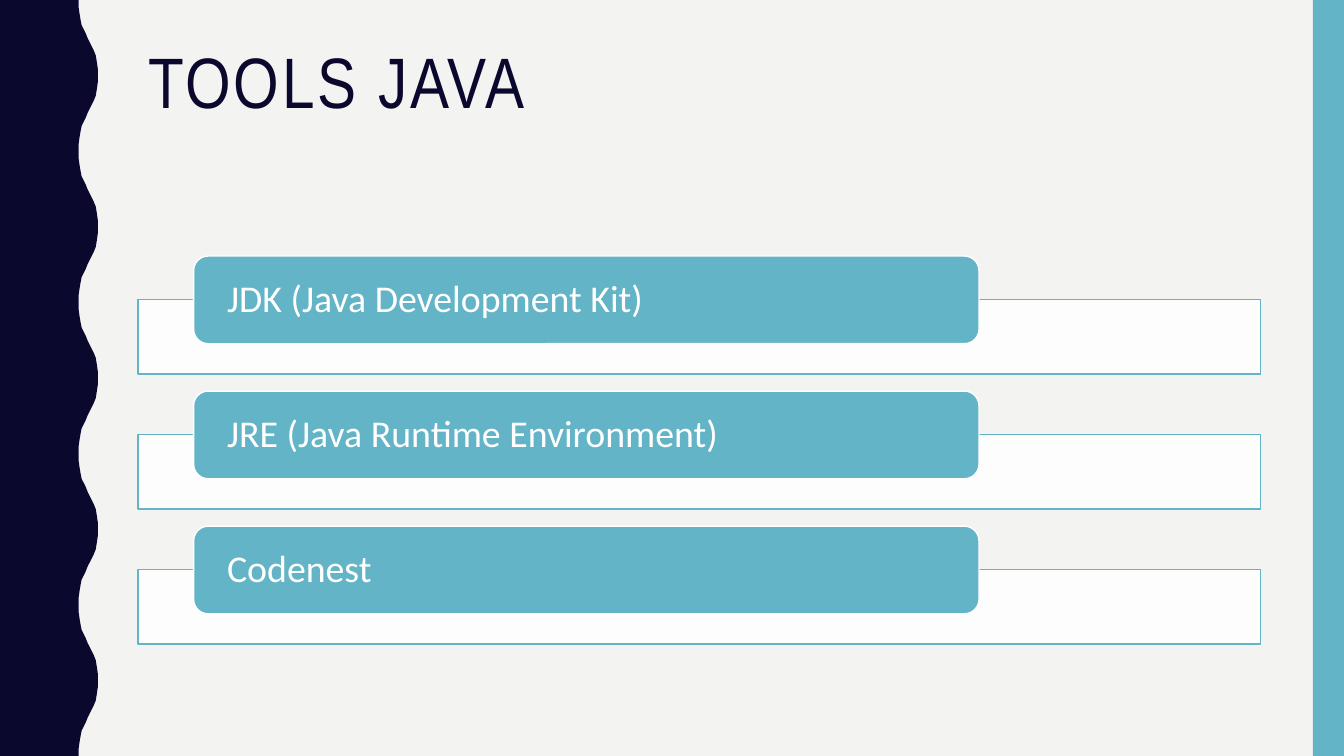
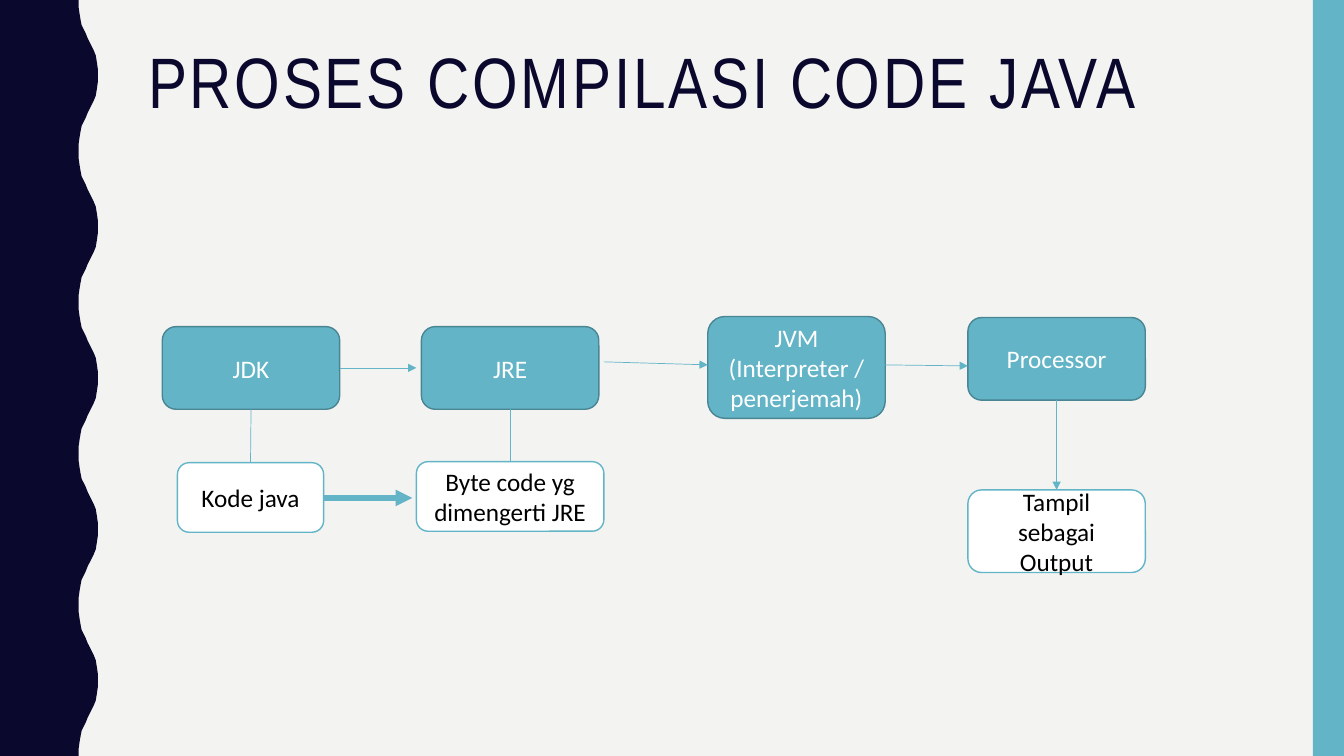
from typing import NamedTuple, Optional

from lxml.etree import SubElement
from pptx import Presentation
from pptx.dml.color import RGBColor
from pptx.enum.shapes import MSO_CONNECTOR, MSO_SHAPE
from pptx.enum.text import MSO_ANCHOR, PP_ALIGN
from pptx.oxml.ns import qn
from pptx.shapes.autoshape import Shape
from pptx.shapes.connector import Connector
from pptx.slide import Slide
from pptx.util import Inches, Pt

COLORS = {
    "paper": "F3F3F2",
    "navy": "0B082E",
    "teal": "62B4C6",
    "teal_dark": "498592",
    "white": "FFFFFF",
    "black": "000000",
}
TITLE_FONT, BODY_FONT = "Arial Narrow", "Calibri"
SLIDE_W, SLIDE_H = 13.33, 7.5
TOP_SITE, BOTTOM_SITE = 0, 2

# Trough to crest of the wavy band, in hundredths of an inch.
HALF_WAVE = [(78, 0), (78, 7), (79, 14), (80, 20), (81, 25), (83, 29),
             (85, 33), (87, 38), (89, 42), (91, 46), (93, 50), (95, 55),
             (96, 61), (97, 68), (97, 75)]
WAVE_STEP, WAVE_COUNT = 150, 5


class Box(NamedTuple):
    """Left, top, width and height in inches."""
    x: float
    y: float
    w: float
    h: float


class Look(NamedTuple):
    """Colour names for a shape's fill, line and text."""
    fill: str
    line: Optional[str] = None
    text: str = "white"


class Node(NamedTuple):
    """A labelled step of the compilation flow."""
    text: str
    box: Box
    look: Look


class Arrow(NamedTuple):
    """A horizontal arrow between two points, with its width in points."""
    x1: float
    y1: float
    x2: float
    y2: float
    width: float = 0.5


class Drop(NamedTuple):
    """A vertical line from one node down to another."""
    upper: str
    lower: str
    arrow: bool = False


TAB = Look("teal", "white")
STEP = Look("teal", "teal_dark")
RESULT = Look("white", "teal", "black")

TOOLS = ["JDK (Java Development Kit)", "JRE (Java Runtime Environment)", "Codenest"]
ROW_STEP = 1.34

NODES = {
    "jdk": Node("JDK", Box(1.61, 3.24, 1.76, 0.82), STEP),
    "jre": Node("JRE", Box(4.18, 3.24, 1.76, 0.82), STEP),
    "jvm": Node("JVM\n(Interpreter / penerjemah)", Box(7.02, 3.14, 1.76, 1.01), STEP),
    "processor": Node("Processor", Box(9.6, 3.15, 1.76, 0.82), STEP),
    "source": Node("Kode java", Box(1.76, 4.59, 1.45, 0.69), RESULT),
    "bytecode": Node("Byte code yg dimengerti JRE", Box(4.13, 4.58, 1.86, 0.69), RESULT),
    "output": Node("Tampil sebagai Output", Box(9.6, 4.86, 1.76, 0.82), RESULT),
}
ARROWS = [
    Arrow(3.21, 4.94, 4.09, 4.94, 4),
    Arrow(3.37, 3.65, 4.13, 3.65),
    Arrow(5.99, 3.59, 7.02, 3.62),
    Arrow(8.75, 3.62, 9.6, 3.63),
]
DROPS = [
    Drop("jdk", "source"),
    Drop("jre", "bytecode"),
    Drop("processor", "output", arrow=True),
]


def rgb(name: str) -> RGBColor:
    """Return the named palette colour."""
    return RGBColor.from_string(COLORS[name])


def paint(sp: Shape, look: Look) -> None:
    """Apply fill and line, without a shadow."""
    sp.shadow.inherit = False
    sp.fill.solid()
    sp.fill.fore_color.rgb = rgb(look.fill)
    if look.line:
        sp.line.color.rgb = rgb(look.line)
        sp.line.width = Pt(1)
    else:
        sp.line.fill.background()


def add_box(slide: Slide, kind: MSO_SHAPE, box: Box, look: Look) -> Shape:
    """Add a painted preset shape."""
    sp = slide.shapes.add_shape(kind, *map(Inches, box))
    paint(sp, look)
    return sp


def write(sp: Shape, text: str, size: float, look: Look, align: PP_ALIGN) -> None:
    """Fill a shape with body text, one paragraph a line."""
    tf = sp.text_frame
    tf.word_wrap = True
    tf.vertical_anchor = MSO_ANCHOR.MIDDLE
    tf.text = text
    for p in tf.paragraphs:
        p.alignment = align
        p.font.name = BODY_FONT
        p.font.size = Pt(size)
        p.font.color.rgb = rgb(look.text)


def add_wave_band(slide: Slide) -> None:
    """Draw the navy band with a wavy right edge."""
    falling = [(x, WAVE_STEP - y) for x, y in reversed(HALF_WAVE[:-1])]
    wave = HALF_WAVE + falling[:-1]
    edge = [(x, y + i * WAVE_STEP) for i in range(WAVE_COUNT) for x, y in wave]
    bottom = WAVE_STEP * WAVE_COUNT
    fb = slide.shapes.build_freeform(0, 0, scale=Inches(0.01))
    fb.add_line_segments(edge + [(HALF_WAVE[0][0], bottom), (0, bottom)], close=True)
    paint(fb.convert_to_shape(), Look("navy"))


def add_title(slide: Slide, text: str) -> None:
    """Add the letter-spaced slide title."""
    tf = slide.shapes.add_textbox(*map(Inches, Box(1.37, 0.42, 11.13, 1.63))).text_frame
    tf.word_wrap = True
    p = tf.paragraphs[0]
    p.line_spacing = 0.9
    p.font.name = TITLE_FONT
    p.font.size = Pt(51)
    p.font.color.rgb = rgb("navy")
    r = p.add_run()
    r.text = text
    r._r.get_or_add_rPr().set("spc", "200")


def new_slide(prs: Presentation, title: str) -> Slide:
    """Add a blank slide with the shared bands and a title."""
    slide = prs.slides.add_slide(prs.slide_layouts[6])
    add_wave_band(slide)
    add_box(slide, MSO_SHAPE.RECTANGLE, Box(13.02, 0, 0.31, SLIDE_H), Look("teal"))
    add_title(slide, title)
    return slide


def add_tool_row(slide: Slide, text: str, offset: float) -> None:
    """Draw a translucent bar with a labelled tab over it."""
    bar = add_box(slide, MSO_SHAPE.RECTANGLE, Box(1.37, 2.97 + offset, 11.13, 0.74),
                  Look("white", "teal"))
    color = bar._element.spPr.find(qn("a:solidFill"))[0]
    SubElement(color, qn("a:alpha"), val="90000")
    tab = add_box(slide, MSO_SHAPE.ROUNDED_RECTANGLE,
                  Box(1.92, 2.54 + offset, 7.79, 0.87), TAB)
    write(tab, text, 27, TAB, PP_ALIGN.LEFT)
    tf = tab.text_frame
    tf.margin_left = tf.margin_right = Inches(0.29)
    tf.margin_top = tf.margin_bottom = 0
    tf.paragraphs[0].line_spacing = 0.9


def add_node(slide: Slide, node: Node) -> Shape:
    """Draw one step of the flow."""
    sp = add_box(slide, MSO_SHAPE.ROUNDED_RECTANGLE, node.box, node.look)
    write(sp, node.text, 18, node.look, PP_ALIGN.CENTER)
    return sp


def add_line(slide: Slide, line: Arrow, arrow: bool = True) -> Connector:
    """Draw a straight teal connector, with an arrowhead if asked."""
    cx = slide.shapes.add_connector(
        MSO_CONNECTOR.STRAIGHT,
        Inches(line.x1), Inches(line.y1), Inches(line.x2), Inches(line.y2))
    cx.line.color.rgb = rgb("teal")
    cx.line.width = Pt(line.width)
    if arrow:
        SubElement(cx.line._get_or_add_ln(), qn("a:tailEnd"), type="triangle")
    SubElement(cx._element.spPr, qn("a:effectLst"))
    return cx


def add_drop(slide: Slide, upper: Shape, lower: Shape, arrow: bool) -> None:
    """Join the bottom of one node to the top of another."""
    cx = add_line(slide, Arrow(0, 0, 0, 0), arrow)
    cx.begin_connect(upper, BOTTOM_SITE)
    cx.end_connect(lower, TOP_SITE)


def build_tools(prs: Presentation) -> None:
    """Build the list of tools."""
    slide = new_slide(prs, "TOOLS JAVA")
    for i, tool in enumerate(TOOLS):
        add_tool_row(slide, tool, i * ROW_STEP)


def build_process(prs: Presentation) -> None:
    """Build the compilation flow."""
    slide = new_slide(prs, "PROSES COMPILASI CODE JAVA")
    shapes = {name: add_node(slide, node) for name, node in NODES.items()}
    for arrow in ARROWS:
        add_line(slide, arrow)
    for drop in DROPS:
        add_drop(slide, shapes[drop.upper], shapes[drop.lower], drop.arrow)


def main() -> None:
    """Build and save the presentation."""
    prs = Presentation()
    prs.slide_width, prs.slide_height = Inches(SLIDE_W), Inches(SLIDE_H)
    fill = prs.slide_master.background.fill
    fill.solid()
    fill.fore_color.rgb = rgb("paper")
    build_tools(prs)
    build_process(prs)
    prs.save("out.pptx")


main()
